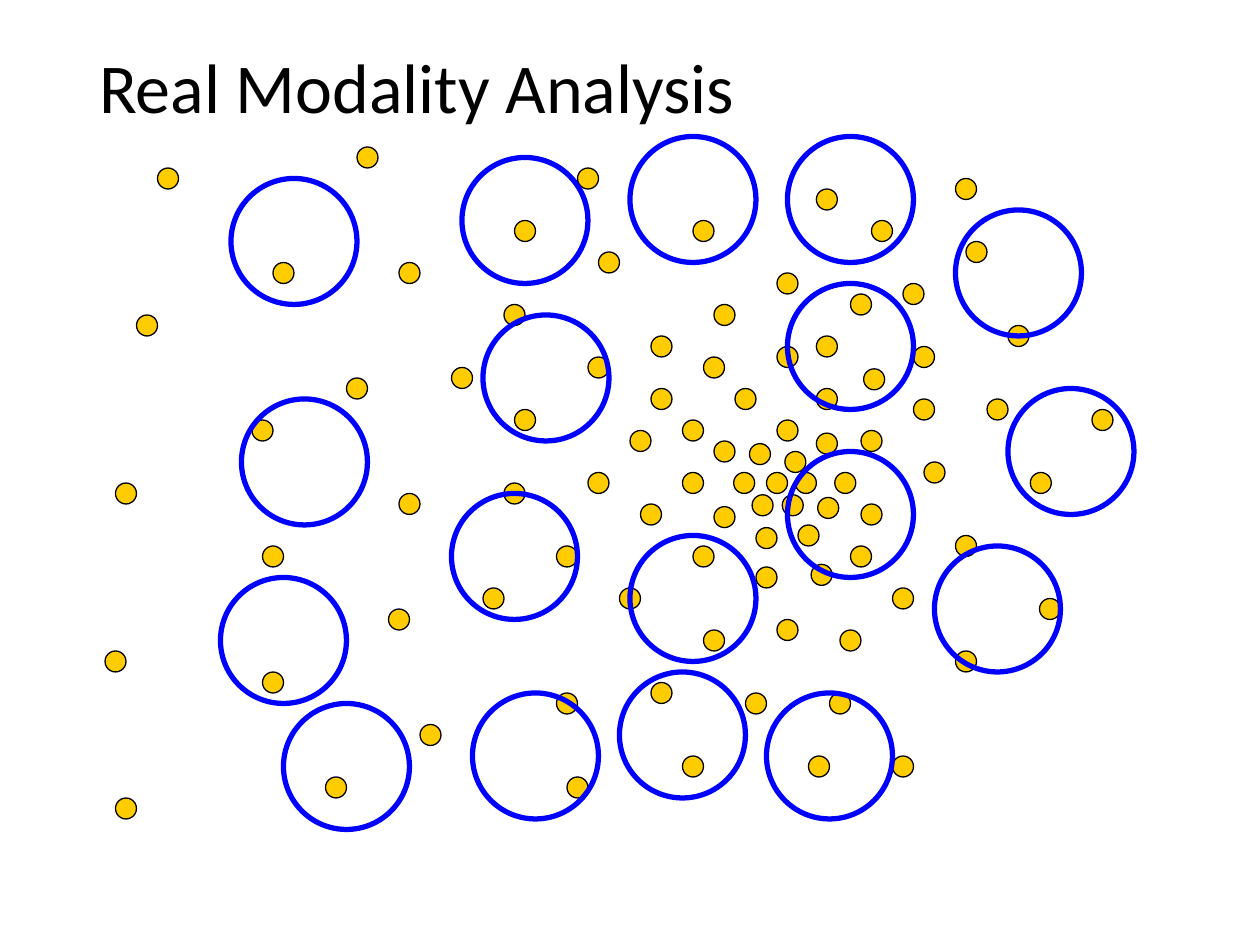
from dataclasses import dataclass

import pptx
import pptx.dml.color
import pptx.enum.shapes
import pptx.enum.text
import pptx.util

PX = 9525  # EMU per px, at 96 px to the inch


@dataclass(frozen=True)
class Theme:
    font: str = "Calibri"
    title_size: int = 40
    text: str = "000000"
    dot_fill: str = "FFCC00"
    dot_line: str = "000000"
    dot_line_width: float = 0.75
    window_line: str = "0000FF"
    window_line_width: float = 3


THEME = Theme()
DOT_SIZE = 16
WINDOW_SIZE = 96

# Data points: top of each row, then the left edges in that row
DOT_ROWS = {
    112: [272],
    128: [120, 440],
    136: [728],
    144: [622],
    168: [392, 528, 664],
    184: [736],
    192: [456],
    200: [208, 304],
    208: [592],
    216: [688],
    224: [648],
    232: [384, 544],
    240: [104],
    248: [768],
    256: [496, 622],
    264: [592, 696],
    272: [448, 536],
    280: [344],
    281: [658],
    288: [264],
    296: [496, 560, 622],
    304: [696, 752],
    312: [392, 832],
    320: [192, 520, 592],
    328: [480, 656],
    330: [622],
    336: [544],
    338: [571],
    344: [598],
    352: [704],
    360: [448, 520, 559, 584, 606, 636, 785],
    368: [88, 384],
    376: [304],
    377: [573, 596],
    379: [623],
    384: [488, 656],
    386: [544],
    400: [608],
    402: [576],
    408: [728],
    416: [200, 424, 528, 648],
    430: [618],
    432: [576],
    448: [368, 472, 680],
    456: [792],
    464: [296],
    472: [592],
    480: [536, 640],
    496: [80, 728],
    512: [200],
    520: [496],
    528: [424, 568, 632],
    552: [320],
    576: [520, 616, 680],
    592: [248, 432],
    608: [88],
}

# Search windows: left and top of each circle
WINDOWS = [
    (216, 536), (168, 440), (184, 304), (176, 136), (352, 120), (360, 528),
    (472, 512), (584, 528), (712, 416), (768, 296), (728, 160), (600, 104),
    (480, 104), (344, 376), (368, 240), (600, 216), (600, 344), (480, 408),
]


def px(length):
    return pptx.util.Emu(length * PX)


def color(value):
    return pptx.dml.color.RGBColor.from_string(value)


def add_circle(slide, left, top, size, line, line_width, fill=None):
    shape = slide.shapes.add_shape(
        pptx.enum.shapes.MSO_SHAPE.OVAL, px(left), px(top), px(size), px(size)
    )
    shape.shadow.inherit = False
    if fill:
        shape.fill.solid()
        shape.fill.fore_color.rgb = color(fill)
    else:
        shape.fill.background()
    shape.line.color.rgb = color(line)
    shape.line.width = pptx.util.Pt(line_width)


def add_dot(slide, left, top):
    add_circle(slide, left, top, DOT_SIZE, THEME.dot_line,
               THEME.dot_line_width, THEME.dot_fill)


def add_window(slide, left, top):
    add_circle(slide, left, top, WINDOW_SIZE, THEME.window_line,
               THEME.window_line_width)


def set_title(slide, text, left, top, width, height):
    title = slide.shapes.title
    title.left, title.top = px(left), px(top)
    title.width, title.height = px(width), px(height)
    frame = title.text_frame
    frame.text = text
    frame.word_wrap = True
    frame.vertical_anchor = pptx.enum.text.MSO_ANCHOR.MIDDLE
    paragraph = frame.paragraphs[0]
    paragraph.alignment = pptx.enum.text.PP_ALIGN.LEFT
    paragraph.line_spacing = 0.9
    paragraph.font.name = THEME.font
    paragraph.font.size = pptx.util.Pt(THEME.title_size)
    paragraph.font.color.rgb = color(THEME.text)


def main():
    presentation = pptx.Presentation()
    presentation.slide_width, presentation.slide_height = px(960), px(720)
    slide = presentation.slides.add_slide(presentation.slide_layouts[5])

    # Title
    set_title(slide, "Real Modality Analysis", 66, 0, 828, 139)

    # Data points, with the windows over them
    for top, lefts in DOT_ROWS.items():
        for left in lefts:
            add_dot(slide, left, top)
    for left, top in WINDOWS:
        add_window(slide, left, top)

    presentation.save("out.pptx")


if __name__ == "__main__":
    main()
